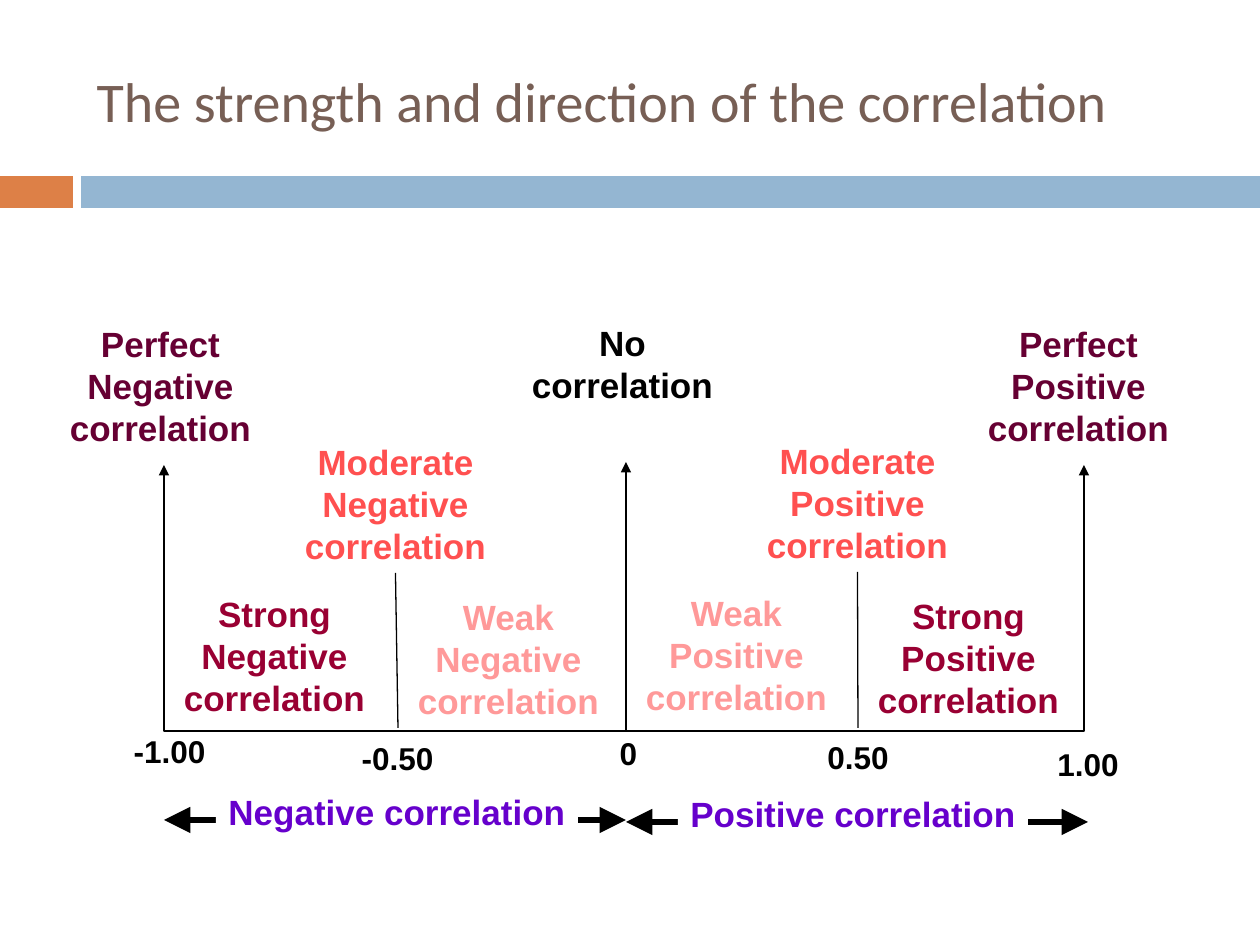
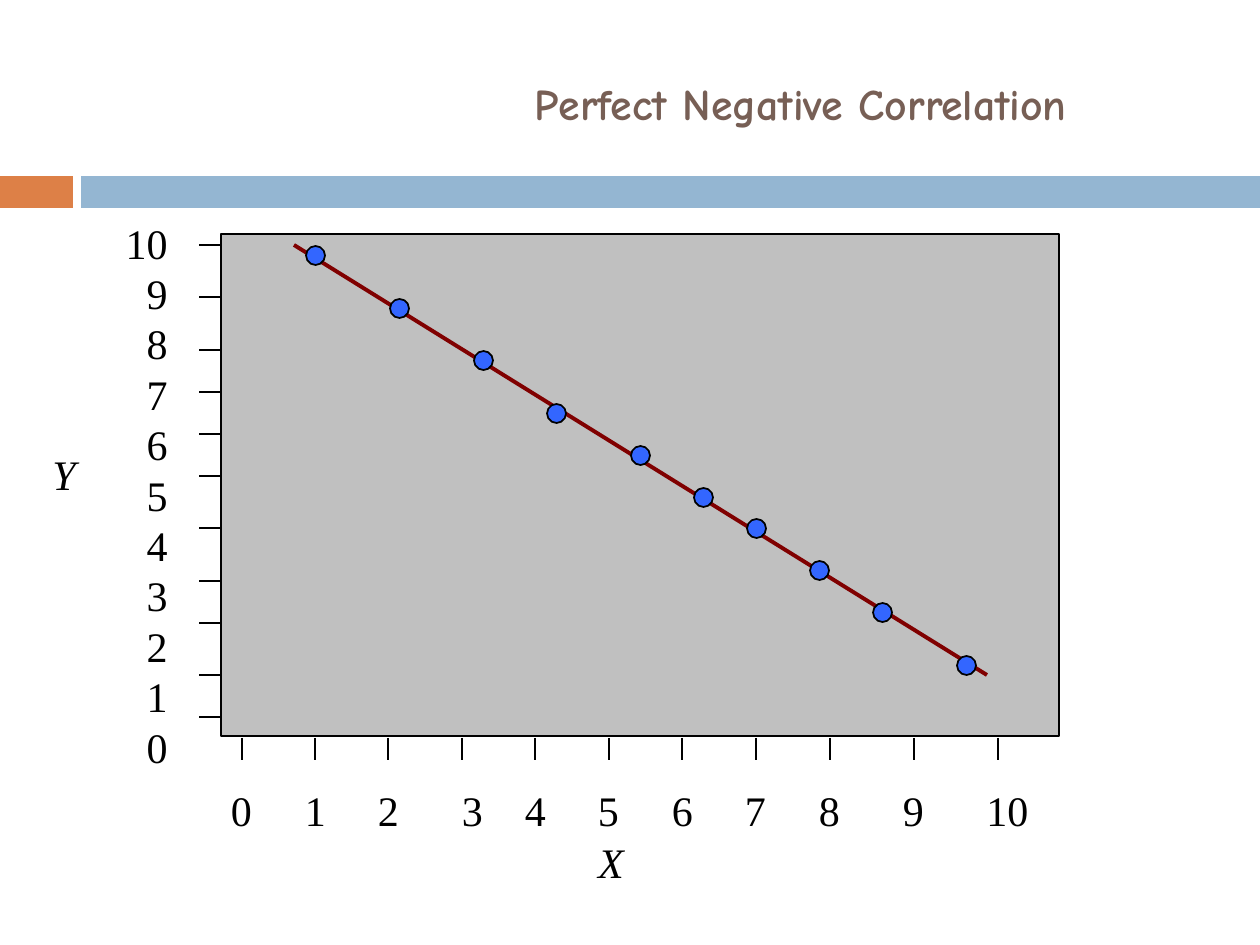
"""Builds two slides on correlation: a strength scale and a perfect negative scatter."""
import lxml.etree
import pptx
import pptx.dml.color
import pptx.enum.shapes
import pptx.enum.text
import pptx.oxml.ns
import pptx.util

UNIT = 914400 / 126
HEX = {
    "title": "775F55", "accent": "DD8047", "band": "94B6D2", "white": "FFFFFF",
    "black": "000000", "perfect": "660033", "strong": "990033", "medium": "FF5050",
    "weak": "FF9999", "sign": "6600CC", "plot": "C0C0C0", "trend": "800000", "dot": "3366FF",
}
RGB = {name: pptx.dml.color.RGBColor.from_string(code) for name, code in HEX.items()}
KIND = pptx.enum.shapes.MSO_SHAPE
STRAIGHT = pptx.enum.shapes.MSO_CONNECTOR.STRAIGHT
ALIGN = pptx.enum.text.PP_ALIGN
ANCHOR = pptx.enum.text.MSO_ANCHOR
qn = pptx.oxml.ns.qn


def text(slide, words, box, size=20, font="Arial", color="black", bold=False, italic=False,
         align=ALIGN.CENTER, wrap=True, fill=None, tabs=(), title=False):
    """Write words into a new text box or the slide's title."""
    spot = [round(v * UNIT) for v in box]
    if title:
        shape = slide.shapes.title
        shape.left, shape.top, shape.width, shape.height = spot
    else:
        shape = slide.shapes.add_textbox(*spot)
    if fill:
        shape.fill.solid()
        shape.fill.fore_color.rgb = RGB[fill]
    frame = shape.text_frame
    frame.word_wrap = wrap
    if not wrap:
        frame.margin_left = frame.margin_right = 0
    frame.vertical_anchor = ANCHOR.MIDDLE if title else ANCHOR.TOP
    frame.text = words
    for para in frame.paragraphs:
        para.alignment = align
        if tabs:
            stops = lxml.etree.SubElement(para._p.get_or_add_pPr(), qn("a:tabLst"))
            for stop in tabs:
                lxml.etree.SubElement(stops, qn("a:tab"), pos=str(round(stop * UNIT)), algn="ctr")
        if not title:
            para.line_spacing = pptx.util.Pt(size * 1.2)
        for run in para.runs:
            run.font.size = pptx.util.Pt(size)
            run.font.name = font
            run.font.bold = bold
            run.font.italic = italic
            run.font.color.rgb = RGB[color]
    return shape


def stroke(shape, width=1, color="black", ends=(), tip="med"):
    """Give a shape a flat outline, with arrowheads at the named ends."""
    shape.line.width = pptx.util.Pt(width)
    shape.line.fill.solid()
    shape.line.fill.fore_color.rgb = RGB[color]
    for end in ends:
        lxml.etree.SubElement(shape.line._ln, qn(f"a:{end}End"), type="triangle", w=tip, len=tip)
    lxml.etree.SubElement(shape._element.spPr, qn("a:effectLst"))
    return shape


deck = pptx.Presentation()
deck.slide_width = round(1260 * UNIT)
deck.slide_height = round(945 * UNIT)
layout = deck.slide_layouts[5]
scale = deck.slides.add_slide(layout)
plot = deck.slides.add_slide(layout)

for left, width, color in ((0, 73, "accent"), (81, 1179, "band")):
    band = scale.shapes.add_shape(KIND.RECTANGLE, *(round(v * UNIT) for v in (left, 176, width, 32)))
    band.shadow.inherit = False
    band.fill.solid()
    band.fill.fore_color.rgb = RGB[color]
    band.line.fill.background()
    layout.shapes.element.append(band.element)

text(scale, "The strength and direction of the correlation", (84, 32, 1124, 136), size=32,
     font="Calibri", color="title", align=ALIGN.LEFT, title=True)

pen = scale.shapes.build_freeform(164, 465, scale=UNIT)
pen.add_line_segments([(164, 731), (1084, 731), (1084, 465)], close=False)
axis = pen.convert_to_shape()
axis.fill.background()
stroke(axis, 0.75, ends=("head", "tail"))

for x1, y1, x2, y2, width, ends, tip in (
    (626, 731, 626, 462, 0.75, ("tail",), "med"),
    (164, 820, 626, 820, 3, ("head", "tail"), "lg"),
    (626, 822, 1088, 822, 3, ("head", "tail"), "lg"),
):
    line = scale.shapes.add_connector(STRAIGHT, *(round(v * UNIT) for v in (x1, y1, x2, y2)))
    stroke(line, width, ends=ends, tip=tip)

for words, left, top, width in (
    ("-1.00", 121, 726, 97), ("-0.50", 349, 733, 97), ("0", 607, 728, 43),
    ("0.50", 815, 732, 86), ("1.00", 1045, 739, 86),
):
    text(scale, words, (left, top, width, 50), size=18, bold=True, wrap=False)

for words, left, top, width in (
    ("Negative correlation", 216, 784, 362), ("Positive correlation", 678, 786, 350),
):
    text(scale, words, (left, top, width, 55), color="sign", bold=True, wrap=False, fill="white")

for words, left, top, color, fill in (
    ("Perfect Negative", 53, 316, "perfect", "white"),
    ("Strong Negative", 167, 586, "strong", None),
    ("Weak Negative", 401, 589, "weak", None),
    ("No", 515, 315, "black", "white"),
    ("Weak Positive", 629, 585, "weak", None),
    ("Strong Positive", 861, 588, "strong", None),
    ("Perfect Positive", 971, 316, "perfect", "white"),
):
    height = 97 if words == "No" else 139
    text(scale, f"{words} correlation", (left, top, 215, height), color=color, bold=True, fill=fill)

for sign, left, top, foot in (("Negative", 288, 434, 398), ("Positive", 750, 433, 858)):
    label = text(scale, f"Moderate {sign} correlation", (left, top, 215, 139),
                 color="medium", bold=True, fill="white")
    mark = scale.shapes.add_connector(STRAIGHT, *(round(v * UNIT) for v in (foot, 575, foot, 728)))
    mark.begin_connect(label, 2)
    stroke(mark, 0.75)

text(plot, "Perfect Negative Correlation", (323, 50, 756, 106), size=25, font="Comic Neue",
     color="title", bold=True, align=ALIGN.RIGHT, title=True)

area = plot.shapes.add_shape(KIND.RECTANGLE, *(round(v * UNIT) for v in (221, 234, 838, 502)))
area.fill.solid()
area.fill.fore_color.rgb = RGB["plot"]
stroke(area)

ticks = [(x, 738, x, 760) for x in (242, 315, 388, 462, 535, 609, 682, 756, 830, 914, 998)]
ticks += [(221, y, 199, y) for y in (245, 297, 350, 392, 434, 476, 528, 581, 623, 675, 717)]
for tick in ticks:
    stroke(plot.shapes.add_connector(STRAIGHT, *(round(v * UNIT) for v in tick)))

serif = {"size": 24, "font": "Times New Roman"}
text(plot, "".join(f"\t{n}" for n in range(11)), (199, 778, 880, 63), align=ALIGN.LEFT,
     tabs=(30, 104, 177, 261, 324, 397, 471, 544, 618, 702, 796), **serif)
text(plot, "\n".join(str(n) for n in range(10, -1, -1)), (112, 211, 68, 567),
     align=ALIGN.RIGHT, **serif)
text(plot, "X", (580, 830, 62, 63), italic=True, **serif)
text(plot, "Y", (33, 442, 62, 63), italic=True, **serif)

trend = plot.shapes.add_connector(STRAIGHT, *(round(v * UNIT) for v in (987, 675, 294, 245)))
stroke(trend, 2.25, "trend")

for x, y in ((315, 255), (399, 308), (483, 360), (556, 413), (640, 455),
             (703, 497), (756, 528), (819, 570), (882, 612), (966, 665)):
    dot = plot.shapes.add_shape(KIND.OVAL, *(round(v * UNIT) for v in (x - 9, y - 9, 19, 19)))
    dot.fill.solid()
    dot.fill.fore_color.rgb = RGB["dot"]
    stroke(dot)

deck.save("out.pptx")
